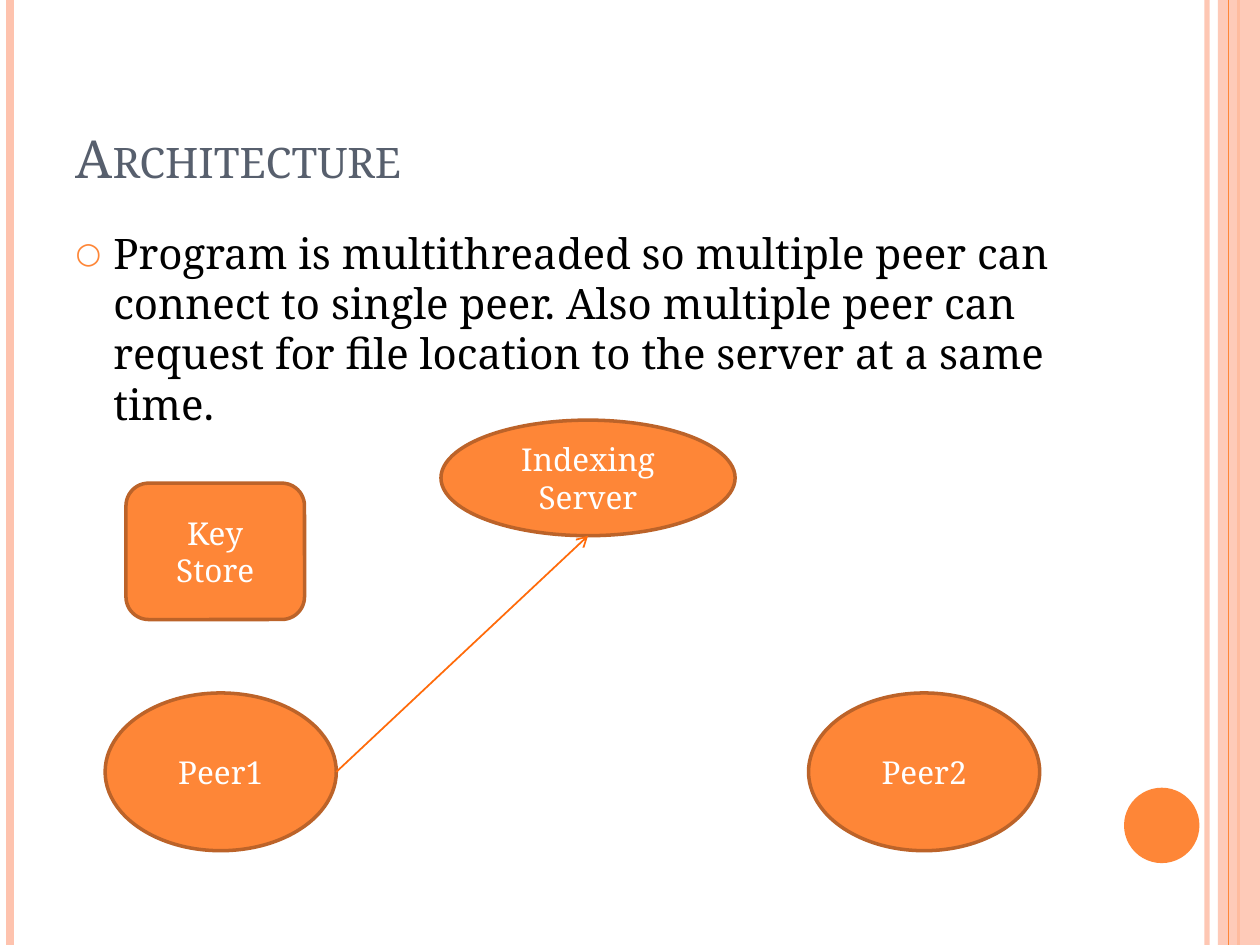
from typing import NamedTuple, Optional

from lxml import etree
from pptx import Presentation
from pptx.dml.color import RGBColor
from pptx.enum.shapes import MSO_CONNECTOR, MSO_SHAPE
from pptx.enum.text import MSO_ANCHOR, MSO_AUTO_SIZE, PP_ALIGN
from pptx.oxml.ns import qn
from pptx.util import Cm, Pt

ELLIPSE, ROUNDED, RECT = MSO_SHAPE.OVAL, MSO_SHAPE.ROUNDED_RECTANGLE, MSO_SHAPE.RECTANGLE
STRAIGHT = MSO_CONNECTOR.STRAIGHT
TOP, MIDDLE, BOTTOM = MSO_ANCHOR.TOP, MSO_ANCHOR.MIDDLE, MSO_ANCHOR.BOTTOM
LEFT, CENTER = PP_ALIGN.LEFT, PP_ALIGN.CENTER

ORANGE = RGBColor(0xFE, 0x86, 0x37)
DARK_ORANGE = RGBColor(0xBC, 0x63, 0x29)
ARROW_ORANGE = RGBColor(0xFF, 0x6B, 0x0A)
PEACH = RGBColor(0xFE, 0xC3, 0xAE)
SLATE = RGBColor(0x57, 0x5F, 0x6D)
BLACK = RGBColor(0, 0, 0)
WHITE = RGBColor(0xFF, 0xFF, 0xFF)

FONT = "Noto Serif"
WIDTH, HEIGHT = 25.4, 19.05


class Stripe(NamedTuple):
    x: float
    color: RGBColor
    weight: float
    alpha: Optional[int] = None


class Node(NamedTuple):
    text: str
    kind: MSO_SHAPE
    x: float
    y: float
    w: float
    h: float


def sub(parent, tag: str, **attrs: str):
    """Append a DrawingML child element."""
    return etree.SubElement(parent, qn(tag), attrs)


def set_alpha(el, percent: int) -> None:
    color = next(el.iter(qn("a:srgbClr")))
    sub(color, "a:alpha", val=str(percent * 1000))


def add_line(s, x1: float, y1: float, x2: float, y2: float, color: RGBColor, weight: float):
    c = s.shapes.add_connector(STRAIGHT, Cm(x1), Cm(y1), Cm(x2), Cm(y2))
    c.line.color.rgb = color
    c.line.width = Pt(weight)
    sub(c._element.spPr, "a:effectLst")
    return c


def add_stripe(s, stripe: Stripe) -> None:
    c = add_line(s, stripe.x, 0, stripe.x, HEIGHT, stripe.color, stripe.weight)
    if stripe.alpha:
        set_alpha(c.line._ln, stripe.alpha)


def add_filled(s, kind: MSO_SHAPE, x: float, y: float, w: float, h: float, color: RGBColor):
    sp = s.shapes.add_shape(kind, Cm(x), Cm(y), Cm(w), Cm(h))
    sp.shadow.inherit = False
    sp.fill.solid()
    sp.fill.fore_color.rgb = color
    sp.line.fill.background()
    return sp


def write(tf, text: str, size: float, color: RGBColor, anchor: MSO_ANCHOR, align: PP_ALIGN):
    frame_format = {"word_wrap": True, "auto_size": MSO_AUTO_SIZE.NONE, "vertical_anchor": anchor}
    for name, value in frame_format.items():
        setattr(tf, name, value)
    p = tf.paragraphs[0]
    p.alignment = align
    r = p.add_run()
    r.text = text
    for name, value in {"name": FONT, "size": Pt(size)}.items():
        setattr(r.font, name, value)
    r.font.color.rgb = color
    return p, r


def add_node(s, node: Node) -> None:
    sp = add_filled(s, node.kind, node.x, node.y, node.w, node.h, ORANGE)
    sp.line.color.rgb = DARK_ORANGE
    sp.line.width = Pt(2)
    write(sp.text_frame, node.text, 18, WHITE, MIDDLE, CENTER)


def place(sp, x: float, y: float, w: float, h: float) -> None:
    box = {"left": x, "top": y, "width": w, "height": h}
    for name, value in box.items():
        setattr(sp, name, Cm(value))


prs = Presentation()
prs.slide_width, prs.slide_height = Cm(WIDTH), Cm(HEIGHT)
s = prs.slides.add_slide(prs.slide_layouts[1])
title, body = s.placeholders[0], s.placeholders[1]

# Side decoration
for stripe in (Stripe(24.33, PEACH, 3, 93), Stripe(0.2, PEACH, 4.5), Stripe(24.97, ORANGE, 1.5)):
    add_stripe(s, stripe)
band = add_filled(s, RECT, 24.55, 0, 0.85, HEIGHT, PEACH)
set_alpha(band._element.spPr, 87)
add_stripe(s, Stripe(24.77, ORANGE, 0.75))
add_filled(s, ELLIPSE, 22.66, 15.88, 1.52, 1.52, ORANGE)

# Title
place(title, 1.27, 0.76, 20.75, 3.18)
_, r = write(title.text_frame, "Architecture", 30, SLATE, BOTTOM, LEFT)
r.font._element.set("cap", "small")

# Body with a ring bullet
place(body, 1.27, 4.45, 20.75, 13.54)
p, _ = write(
    body.text_frame,
    "Program is multithreaded so multiple peer can connect to single peer. "
    "Also multiple peer can request for file location to the server at a same time.",
    24, BLACK, TOP, LEFT,
)
p.space_before = Pt(6)
pPr = p._p.get_or_add_pPr()
pPr.set("marL", str(Cm(0.76)))
pPr.set("indent", str(-Cm(0.76)))
sub(sub(pPr, "a:buClr"), "a:srgbClr", val=str(ORANGE))
sub(pPr, "a:buSzPct", val="70000")
sub(pPr, "a:buFont", typeface=FONT)
sub(pPr, "a:buChar", char="○")

# Architecture diagram
peer2 = Node("Peer2", ELLIPSE, 16.3, 13.97, 4.66, 3.18)
peer1 = peer2._replace(text="Peer1", x=2.12)
key_store = Node("Key Store", ROUNDED, 2.54, 9.74, 3.6, 2.75)
server = Node("Indexing Server", ELLIPSE, 8.89, 8.47, 5.93, 2.33)
for node in (peer2, peer1, key_store, server):
    add_node(s, node)

# Arrow from Peer1 to the server
arrow = add_line(
    s, peer1.x + peer1.w, peer1.y + peer1.h / 2,
    server.x + server.w / 2, server.y + server.h, ARROW_ORANGE, 1,
)
sub(arrow.line._ln, "a:tailEnd", type="arrow")

prs.save("out.pptx")
